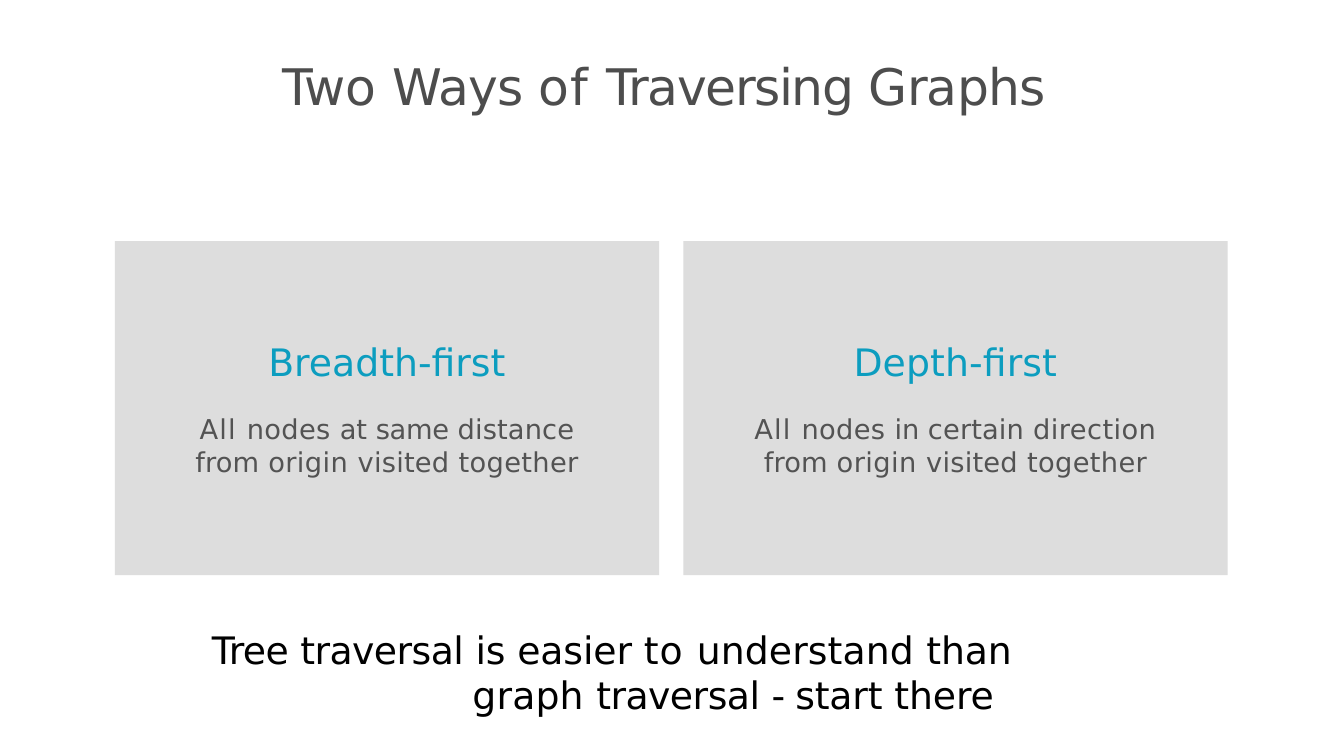
from dataclasses import dataclass

from pptx import Presentation
from pptx.dml.color import RGBColor
from pptx.enum.shapes import MSO_SHAPE
from pptx.enum.text import MSO_ANCHOR, PP_ALIGN
from pptx.shapes.autoshape import Shape
from pptx.slide import Slide
from pptx.text.text import TextFrame
from pptx.util import Pt

FONT = "DejaVu Sans"
CARD_TOP, CARD_WIDTH, CARD_HEIGHT = 229.7, 518.4, 318.2
CARD_LEFT, CARD_STEP = 109.4, 541.4

# Each piece of text carries its letter spacing in points
Pieces = tuple[tuple[str, float], ...]
CARD_ENDING: Pieces = (
    ("from ", 0.1), ("origin ", 0.4), ("visited ", 0.2), ("together", 0.3),
)


@dataclass
class Card:
    heading: str
    heading_spacing: float
    description: Pieces


CARDS = (
    Card("Breadth-first", 0, (
        ("All ", 1.1), ("nodes ", 0.3), ("at ", -0.1), ("same ", -0.3),
        ("distance ", 0.1), *CARD_ENDING,
    )),
    Card("Depth-first", 0.1, (
        ("All ", 1.1), ("nodes ", 0.3), ("in ", -0.1), ("certain ", 0.1),
        ("direction ", 0.4), *CARD_ENDING,
    )),
)
TITLE: Pieces = (
    ("Two ", -0.3), ("Ways ", -0.7), ("of ", 1), ("Traversing ", -1.4),
    ("Graphs", -0.7),
)
ADVICE: Pieces = (
    ("Tree ", -0.6), ("traversal ", -0.5), ("is ", -0.2), ("easier ", -0.1),
    ("to ", 0.9), ("understand ", 0.1), ("than ", -0.2), ("graph ", 0.2),
    ("traversal ", -0.5), ("- ", -1.7), ("start ", -0.2), ("there", -0.1),
)


def color(value: str) -> RGBColor:
    return RGBColor.from_string(value)


def prepare_frame(shape: Shape, top_margin: float) -> TextFrame:
    frame = shape.text_frame
    frame.word_wrap = True
    frame.vertical_anchor = MSO_ANCHOR.TOP
    frame.margin_left = frame.margin_right = frame.margin_bottom = 0
    frame.margin_top = Pt(top_margin)
    return frame


def write_text(frame: TextFrame, pieces: Pieces, *, size: float, font_color: str,
               align: PP_ALIGN = PP_ALIGN.LEFT, before: float = 0,
               line_height: float | None = None, left_indent: float = 0,
               right_indent: float = 0, first_indent: float = 0) -> None:
    paragraph = frame.paragraphs[0]
    if paragraph.runs:
        paragraph = frame.add_paragraph()
    paragraph.alignment = align
    paragraph.space_before = Pt(before)
    if line_height:
        paragraph.line_spacing = Pt(line_height)
    properties = paragraph._p.get_or_add_pPr()
    properties.set("marL", str(Pt(left_indent)))
    properties.set("marR", str(Pt(right_indent)))
    properties.set("indent", str(Pt(first_indent)))
    for text, spacing in pieces:
        run = paragraph.add_run()
        run.text = text
        run.font.name = FONT
        run.font.size = Pt(size)
        run.font.color.rgb = color(font_color)
        run._r.get_or_add_rPr().set("spc", str(round(spacing * 100)))


def add_text_box(slide: Slide, left: float, top: float, width: float,
                 height: float, top_margin: float) -> TextFrame:
    box = slide.shapes.add_textbox(Pt(left), Pt(top), Pt(width), Pt(height))
    return prepare_frame(box, top_margin)


def add_card(slide: Slide, card: Card, left: float) -> None:
    shape = slide.shapes.add_shape(MSO_SHAPE.RECTANGLE, Pt(left), Pt(CARD_TOP),
                                   Pt(CARD_WIDTH), Pt(CARD_HEIGHT))
    shape.shadow.inherit = False
    shape.fill.solid()
    shape.fill.fore_color.rgb = color("DDDDDD")
    shape.line.fill.background()
    frame = prepare_frame(shape, top_margin=93)
    write_text(frame, ((card.heading, card.heading_spacing),), size=36,
               font_color="0C9DBF", align=PP_ALIGN.CENTER)
    write_text(frame, card.description, size=26, font_color="535353",
               align=PP_ALIGN.CENTER, before=27, line_height=31,
               left_indent=54, right_indent=54)


def main() -> None:
    presentation = Presentation()
    presentation.slide_width, presentation.slide_height = Pt(1280), Pt(720)
    slide = presentation.slides.add_slide(presentation.slide_layouts[6])

    # Title
    title = add_text_box(slide, 269.3, 51.1, 741.6, 59.8, top_margin=1)
    write_text(title, TITLE, size=48, font_color="4D4D4D", before=1)

    # Two cards side by side
    for index, card in enumerate(CARDS):
        add_card(slide, card, CARD_LEFT + index * CARD_STEP)

    # Advice with a hanging second line
    advice = add_text_box(slide, 200.9, 594, 877, 88.6, top_margin=3)
    write_text(advice, ADVICE, size=36, font_color="000000", before=2.6,
               line_height=43, left_indent=249, right_indent=36,
               first_indent=-248)

    presentation.save("out.pptx")


if __name__ == "__main__":
    main()
